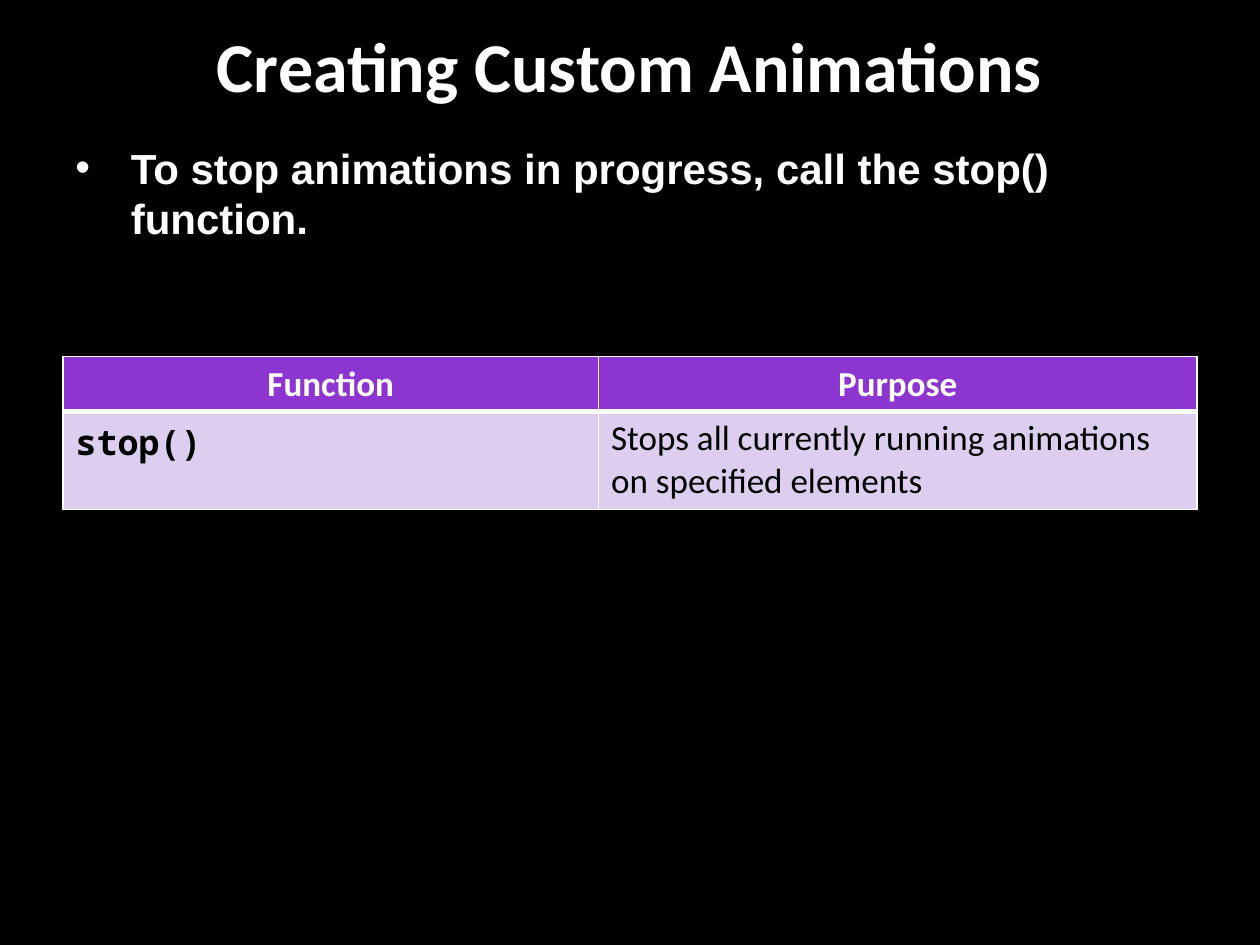
from pptx import Presentation
from pptx import util as u
from pptx.dml.color import RGBColor
from pptx.enum import text
from pptx.oxml import parse_xml
from pptx.oxml.ns import nsdecls

WHITE, BLACK = "FFFFFF", "000000"
VIOLET, LILAC = "8D35D1", "DBCEEE"
CENTER = text.PP_ALIGN.CENTER


def rgb(code):
    return RGBColor.from_string(code)


class Deck:
    def __init__(self):
        self.prs = Presentation()
        self.prs.slide_width = u.Inches(10)
        self.prs.slide_height = u.Inches(7.5)
        self.slide = self.prs.slides.add_slide(self.prs.slide_layouts[6])
        fill = self.slide.background.fill
        fill.solid()
        fill.fore_color.rgb = rgb(BLACK)

    def style(self, par, size, name="Calibri", color=WHITE, bold=True):
        font = par.font
        font.size, font.name, font.bold = u.Pt(size), name, bold
        font.color.rgb = rgb(color)

    def box(self, words, area):
        """Add a wrapping text box; return its frame and paragraph."""
        frame = self.slide.shapes.add_textbox(*map(u.Inches, area)).text_frame
        frame.word_wrap = True
        par = frame.paragraphs[0]
        par.text = words
        return frame, par

    def title(self, words, area):
        frame, par = self.box(words, area)
        frame.vertical_anchor = text.MSO_ANCHOR.MIDDLE
        par.alignment = CENTER
        self.style(par, 40)

    def bullet(self, words, area):
        par = self.box(words, area)[1]
        props = par._p.get_or_add_pPr()
        props.set("marL", str(u.Inches(0.44)))
        props.set("indent", str(u.Inches(-0.44)))
        props.append(parse_xml(f'<a:buFont {nsdecls("a")} typeface="Arial"/>'))
        props.append(parse_xml(f'<a:buChar {nsdecls("a")} char="•"/>'))
        self.style(par, 24, "Arial")

    def border(self, cell, low):
        """Draw white cell borders, the bottom one `low` points wide."""
        props = cell._tc.get_or_add_tcPr()
        for spot, (side, width) in enumerate(zip("LRTB", (1, 1, 1, low))):
            props.insert(spot, parse_xml(
                f'<a:ln{side} {nsdecls("a")} w="{u.Pt(width)}"><a:solidFill>'
                f'<a:srgbClr val="{WHITE}"/></a:solidFill></a:ln{side}>'))

    def table(self, rows, area, widths, heights):
        grid = self.slide.shapes.add_table(
            len(rows), len(widths), *map(u.Inches, area)).table
        for col, width in zip(grid.columns, widths):
            col.width = u.Inches(width)
        for row, height in zip(grid.rows, heights):
            row.height = u.Inches(height)
        for r, row in enumerate(rows):
            head = r == 0
            for c, words in enumerate(row):
                cell = grid.cell(r, c)
                cell.text = words
                cell.fill.solid()
                cell.fill.fore_color.rgb = rgb(VIOLET if head else LILAC)
                # The rule under the header is shared with the row below.
                self.border(cell, 3 if head else 1)
                if not head:
                    top = cell._tc.tcPr[2]
                    top.set("w", str(u.Pt(3)))
                par = cell.text_frame.paragraphs[0]
                if head:
                    par.alignment = CENTER
                    self.style(par, 20)
                elif c == 0:
                    self.style(par, 20, "Noto Sans Mono", BLACK)
                else:
                    self.style(par, 20, color=BLACK, bold=False)


def main():
    deck = Deck()
    deck.title("Creating Custom Animations", (0.85, 0.03, 8.29, 0.97))
    deck.bullet("To stop animations in progress, call the stop() function.",
                (0.5, 1.08, 9, 1.58))
    deck.table(
        [("Function", "Purpose"),
         ("stop()",
          "Stops all currently running animations on specified elements")],
        (0.5, 2.83, 9, 1.2), (4.25, 4.75), (0.43, 0.78))
    deck.prs.save("out.pptx")


if __name__ == "__main__":
    main()
